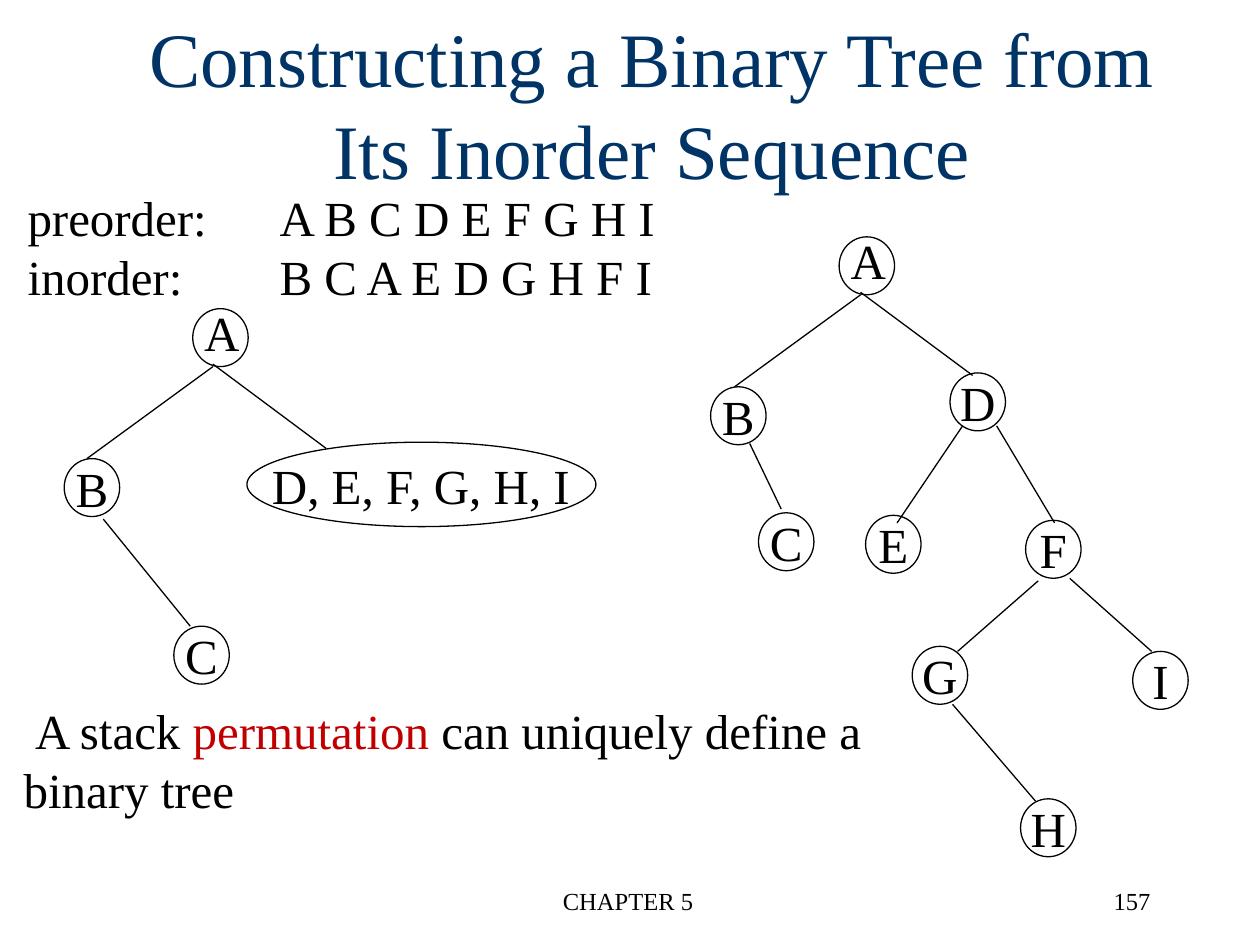
import pptx
import pptx.dml.color
import pptx.enum.shapes
import pptx.enum.text
import pptx.oxml
import pptx.oxml.ns
import pptx.util

colour = pptx.dml.color.RGBColor.from_string
ALIGN = pptx.enum.text.PP_ALIGN
ANCHOR = pptx.enum.text.MSO_ANCHOR
OVAL = pptx.enum.shapes.MSO_SHAPE.OVAL
STRAIGHT = pptx.enum.shapes.MSO_CONNECTOR.STRAIGHT
BLACK, NAVY, RED = "000000", "003366", "C00000"

presentation = pptx.Presentation()
presentation.slide_width = pptx.util.Inches(10)
presentation.slide_height = pptx.util.Inches(7.5)
slide = presentation.slides.add_slide(presentation.slide_layouts[5])


def grid(*cells):
    """Lengths in cells of a grid of 100 columns by 75 rows."""
    return [round(cell * presentation.slide_width / 100) for cell in cells]


def write(shape, runs, size=28, align=ALIGN.CENTER, wrap=True, anchor=ANCHOR.TOP):
    """Fill a shape with one paragraph of (text, colour) runs."""
    frame = shape.text_frame
    frame.auto_size = pptx.enum.text.MSO_AUTO_SIZE.NONE
    frame.word_wrap = wrap
    frame.vertical_anchor = anchor
    paragraph = frame.paragraphs[0]
    paragraph.alignment = align
    paragraph.line_spacing = pptx.util.Pt(1.2 * size)
    for text, shade in runs:
        if text == "\v":
            paragraph.add_line_break()
            continue
        run = paragraph.add_run()
        run.text = text
        run.font.name = "Times New Roman"
        run.font.size = pptx.util.Pt(size)
        run.font.color.rgb = colour(shade)
    return paragraph


# Title
title = slide.shapes.title
title.left, title.top, title.width, title.height = grid(7.3, 0.3, 88.9, 12.5)
write(title, [("Constructing a Binary Tree from Its Inorder Sequence", NAVY)], 44)

# Footer and slide number
footer = slide.shapes.add_textbox(*grid(34, 69.8, 31.7, 5))
write(footer, [("CHAPTER 5", BLACK)], 14)
number = slide.shapes.add_textbox(*grid(71.5, 69.8, 20.8, 5))
write(number, [("157", BLACK)], 14, ALIGN.RIGHT)

# Traversal sequences, lined up at a tab stop
sequences = slide.shapes.add_textbox(*grid(1.2, 14.4, 52.1, 10.3))
paragraph = write(sequences, [
    ("preorder:\tA B C D E F G H I", BLACK),
    ("\v", BLACK),
    ("inorder:\tB C A E D G H F I", BLACK),
], align=ALIGN.LEFT, wrap=False)
tab_stops = pptx.oxml.parse_xml(
    f'<a:tabLst {pptx.oxml.ns.nsdecls("a")}><a:tab pos="{grid(20)[0]}" algn="l"/></a:tabLst>')
paragraph._p.get_or_add_pPr().append(tab_stops)

# Trees: root circle, subtree oval, lettered circles and edges, in grid cells
NODE_SIZE = (4.4, 4.6)
trees = [
    {
        "root": (15.3, 24.5),
        "subtree": ("D, E, F, G, H, I", (19.6, 35.1, 27.7, 6.7)),
        "nodes": {"B": (5.1, 36.4), "C": (13.8, 49.7)},
        "edges": [(16.9, 29.1, 6.9, 36.4), (16.9, 28.9, 25.9, 35.6),
                  (8.2, 41.2, 15.1, 49.7)],
    },
    {
        "root": (66.6, 18.8),
        "subtree": None,
        "nodes": {"B": (56.4, 30.7), "C": (60.2, 40.7), "D": (75.4, 29.6),
                  "E": (68.7, 40.9), "F": (81.4, 41.3), "G": (72.4, 51.3),
                  "I": (89.9, 51.7), "H": (81, 63.4)},
        "edges": [(68.3, 23.4, 58.3, 30.7), (68.3, 23.2, 77.2, 29.8),
                  (59.5, 35.2, 62, 40.4), (76.4, 33.8, 71.2, 41.5),
                  (79.1, 33.8, 83.7, 41.5), (82.4, 46.1, 76, 51.7),
                  (84.9, 45.9, 91.4, 51.7), (75.6, 55.9, 82.2, 63.6)],
    },
]

for tree in trees:
    shapes = slide.shapes.add_group_shape().shapes

    # Outlines, with the letter inside where there is one
    outlines = [("", tree["root"] + NODE_SIZE)]
    outlines += [(letter, corner + NODE_SIZE) for letter, corner in tree["nodes"].items()]
    if tree["subtree"]:
        outlines.append(("", tree["subtree"][1]))
    for letter, box in outlines:
        node = shapes.add_shape(OVAL, *grid(*box))
        node.shadow.inherit = False
        node.fill.background()
        node.line.color.rgb = colour(BLACK)
        node.line.width = pptx.util.Pt(0.75)
        if letter:
            write(node, [(letter, BLACK)], wrap=False, anchor=ANCHOR.MIDDLE)

    # Labels laid over the root and the subtree
    left, top = tree["root"]
    labels = [("A", (left - 0.1, top - 1, 4.8, 5.7))]
    if tree["subtree"]:
        text, (left, top, width, height) = tree["subtree"]
        labels.append((text, (left + 0.8, top + 0.6, width - 1.7, 5.7)))
    for text, box in labels:
        write(shapes.add_textbox(*grid(*box)), [(text, BLACK)], wrap=False)

    # Edges
    for ends in tree["edges"]:
        edge = shapes.add_connector(STRAIGHT, *grid(*ends))
        edge.line.color.rgb = colour(BLACK)
        edge.line.width = pptx.util.Pt(0.75)
        edge._element.spPr.append(
            pptx.oxml.parse_xml(f'<a:effectLst {pptx.oxml.ns.nsdecls("a")}/>'))

# Conclusion
conclusion = slide.shapes.add_textbox(*grid(0.9, 55.1, 70, 10.4))
paragraph = write(conclusion, [
    ("A stack ", BLACK),
    ("permutation", RED),
    (" can uniquely define a binary tree", BLACK),
], align=ALIGN.LEFT)
paragraph._p.get_or_add_pPr().set("indent", str(grid(0.9)[0]))

presentation.save("out.pptx")
